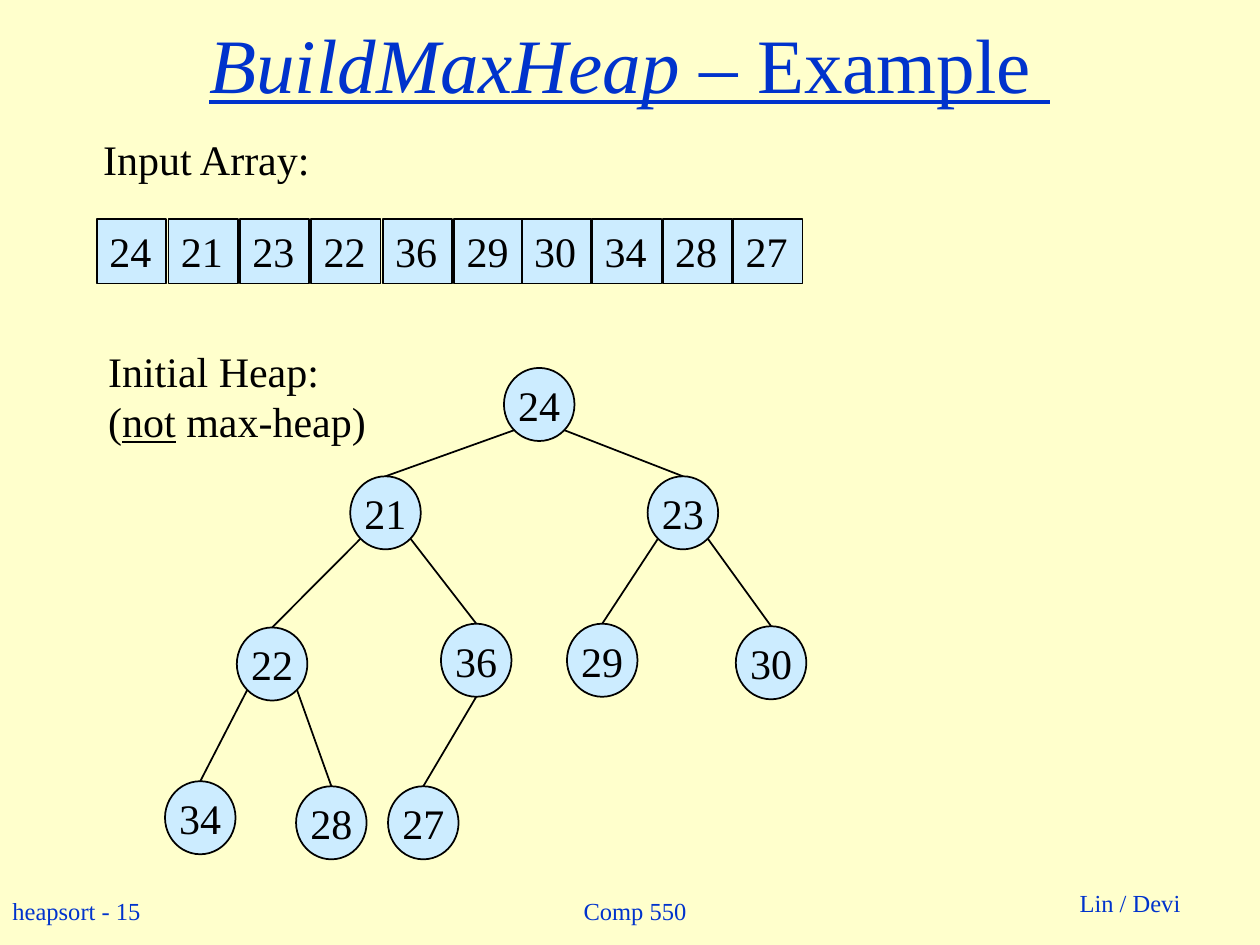
from pptx import Presentation
from pptx.dml.color import RGBColor as RGB
from pptx.enum.shapes import MSO_CONNECTOR as LINK, MSO_SHAPE as SHAPE
from pptx.enum.text import MSO_ANCHOR as ANCHOR, MSO_AUTO_SIZE as FIT, PP_ALIGN as ALIGN
from pptx.oxml.ns import qn
from pptx.util import Inches, Pt
from lxml import etree

COLORS = {"back": "FFFFCC", "title": "0033CC", "ink": "000000", "cell": "CCECFF"}
FONT = "Times New Roman"
VALUES = [24, 21, 23, 22, 36, 29, 30, 34, 28, 27]
CELL_W, CELL_H = 0.55, 0.51
NODE_W, NODE_H = 0.56, 0.58
# Left and top of each node within the tree, in heap order
NODES = [(2.69, 0), (1.47, 0.86), (3.83, 0.86), (0.57, 2.06), (2.19, 2.03),
         (3.19, 2.03), (4.53, 2.05), (0, 3.28), (1.04, 3.32), (1.77, 3.32)]


def color(name):
    """Return a named colour."""
    return RGB.from_string(COLORS[name])


def write(shape, lines, size=24, ink="ink", align=ALIGN.LEFT, anchor=ANCHOR.TOP,
          wrap=False, fit=FIT.NONE):
    """Fill a shape with lines, each a string or a list of (text, style) runs."""
    frame = shape.text_frame
    frame.word_wrap, frame.auto_size = wrap, fit
    frame.vertical_anchor = anchor
    for i, line in enumerate(lines):
        para = frame.add_paragraph() if i else frame.paragraphs[0]
        para.alignment = align
        for text, style in [(line, "")] if isinstance(line, str) else line:
            run = para.add_run()
            run.text = text
            font = run.font
            font.name, font.size = FONT, Pt(size)
            font.color.rgb = color(ink)
            font.italic, font.underline = "i" in style, "u" in style


def label(slide, box, lines, **style):
    """Place a text box."""
    write(slide.shapes.add_textbox(*map(Inches, box)), lines, **style)


def block(shapes, kind, box, value, **style):
    """Draw one outlined shape that holds a value."""
    shape = shapes.add_shape(kind, *map(Inches, box))
    shape.shadow.inherit = False
    shape.fill.solid()
    shape.fill.fore_color.rgb = color("cell")
    shape.line.color.rgb = color("ink")
    shape.line.width = Pt(1)
    write(shape, [str(value)], **style)


def edge(shapes, start, end):
    """Draw a plain line between two points."""
    line = shapes.add_connector(LINK.STRAIGHT, *map(Inches, (*start, *end)))
    line.line.color.rgb = color("ink")
    line.line.width = Pt(1)
    etree.SubElement(line._element.spPr, qn("a:effectLst"))


def head(slide, box):
    """Format and place the title."""
    title = slide.shapes.title
    title.left, title.top, title.width, title.height = map(Inches, box)
    write(title, [[("BuildMaxHeap", "iu"), (" – Example ", "u")]], size=44,
          ink="title", align=ALIGN.CENTER, anchor=ANCHOR.MIDDLE, wrap=True)


def array(slide, left, top):
    """Draw the input array as two runs of evenly spaced cells."""
    shapes = slide.shapes.add_group_shape().shapes
    for i, value in enumerate(VALUES):
        shift = 0.567 * i if i < 6 else 3.37 + 0.56 * (i - 6)
        block(shapes, SHAPE.RECTANGLE, (left + shift, top, CELL_W, CELL_H), value,
              fit=FIT.SHAPE_TO_FIT_TEXT)


def tree(slide, left, top):
    """Draw the heap; the parent of node i is node (i - 1) // 2."""
    spots = [(left + x, top + y) for x, y in NODES]
    for i, (x, y) in enumerate(spots):
        block(slide.shapes, SHAPE.OVAL, (x, y, NODE_W, NODE_H), VALUES[i],
              align=ALIGN.CENTER, anchor=ANCHOR.MIDDLE)
        if i:
            px, py = spots[(i - 1) // 2]
            if i == len(spots) - 1:
                across, down = 0.5, 1
            else:
                across, down = (0.15 if i % 2 else 0.85), 0.85
            edge(slide.shapes, (px + across * NODE_W, py + down * NODE_H),
                 (x + NODE_W / 2, y))


def foot(slide, top):
    """Place the three footer texts."""
    style = {"size": 14, "ink": "title"}
    label(slide, (0, top + 0.08, 1.25, 0.33), ["heapsort - 15"],
          fit=FIT.SHAPE_TO_FIT_TEXT, **style)
    label(slide, (4, top, 2.08, 0.5), ["Comp 550"], align=ALIGN.CENTER,
          anchor=ANCHOR.MIDDLE, **style)
    label(slide, (8.47, top + 0.02, 1, 0.33), ["Lin / Devi"],
          fit=FIT.SHAPE_TO_FIT_TEXT, **style)


def main():
    """Build and save the deck."""
    deck = Presentation()
    deck.slide_width, deck.slide_height = Inches(10), Inches(7.5)
    slide = deck.slides.add_slide(deck.slide_layouts[5])
    slide.background.fill.solid()
    slide.background.fill.fore_color.rgb = color("back")
    head(slide, (0, 0, 10, 1))
    label(slide, (0.72, 1.01, 1.86, 0.5), ["Input Array:"], fit=FIT.SHAPE_TO_FIT_TEXT)
    array(slide, 0.77, 1.74)
    label(slide, (0.76, 2.69, 2.25, 0.9),
          ["Initial Heap:", [("(", ""), ("not", "u"), (" ", "i"), ("max-heap)", "")]],
          fit=FIT.SHAPE_TO_FIT_TEXT)
    tree(slide, 1.31, 2.92)
    foot(slide, 6.98)
    deck.save("out.pptx")


main()
